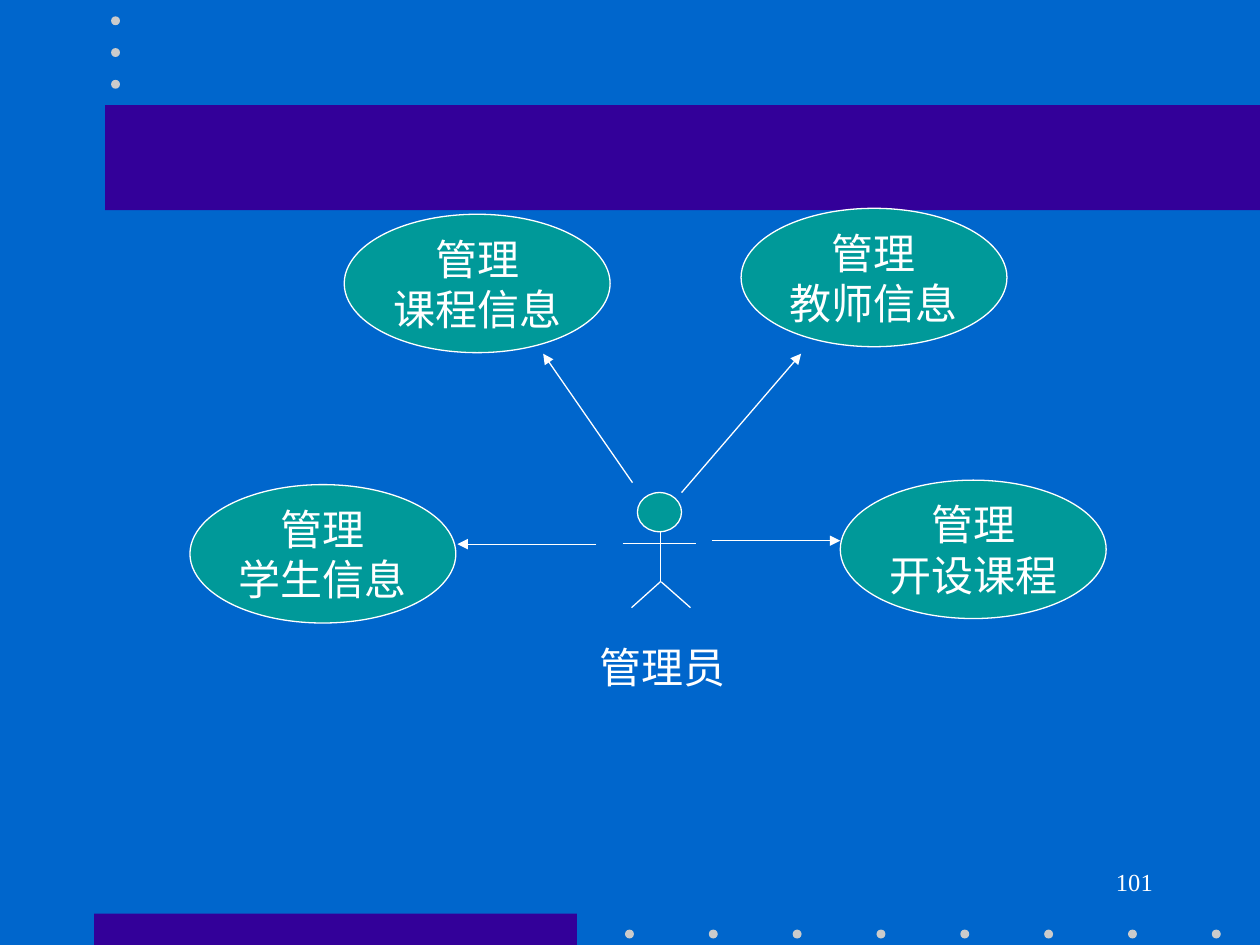
from lxml import etree
from pptx import Presentation
from pptx import util as u
from pptx.dml import color
from pptx.enum import shapes, text
from pptx.oxml import ns

BLUE, PURPLE, TEAL, GREY, WHITE = "0066CC", "330099", "009999", "CBCBCB", "FFFFFF"


def rgb(value):
    return color.RGBColor.from_string(value)


def write(shape, words, size=24, align=text.PP_ALIGN.CENTER,
          anchor=text.MSO_ANCHOR.MIDDLE, wrap=False):
    """Fill a shape with one paragraph per line of words."""
    frame = shape.text_frame
    frame.word_wrap = wrap
    frame.vertical_anchor = anchor
    for number, line in enumerate(words.split("\n")):
        para = frame.paragraphs[0] if number == 0 else frame.add_paragraph()
        para.alignment = align
        span = para.add_run()
        span.text = line
        span.font.name = "Times New Roman"
        span.font.size = u.Pt(size)
        span.font.color.rgb = rgb(WHITE)


class Diagram:
    font_colour = WHITE
    line_width = u.Pt(0.75)

    def __init__(self, page):
        self.page = page
        page.background.fill.solid()
        page.background.fill.fore_color.rgb = rgb(BLUE)

    def shape(self, kind, left, top, width, height, fill, outline=None):
        item = self.page.shapes.add_shape(
            kind, u.Cm(left), u.Cm(top), u.Cm(width), u.Cm(height))
        item.shadow.inherit = False
        item.fill.solid()
        item.fill.fore_color.rgb = rgb(fill)
        if outline:
            item.line.color.rgb = rgb(outline)
            item.line.width = self.line_width
        else:
            item.line.fill.background()
        return item

    def bar(self, left, top, width, height):
        return self.shape(shapes.MSO_SHAPE.RECTANGLE, left, top, width, height, PURPLE)

    def dot(self, left, top):
        return self.shape(shapes.MSO_SHAPE.OVAL, left, top, 0.18, 0.18, GREY)

    def oval(self, left, top, width, height):
        return self.shape(shapes.MSO_SHAPE.OVAL, left, top, width, height, TEAL, WHITE)

    def use_case(self, left, top, words):
        write(self.oval(left, top, 5.36, 2.79), words)

    def label(self, left, top, width, height, words, **style):
        box = self.page.shapes.add_textbox(
            u.Cm(left), u.Cm(top), u.Cm(width), u.Cm(height))
        write(box, words, **style)

    def line(self, x1, y1, x2, y2, arrow=False):
        link = self.page.shapes.add_connector(
            shapes.MSO_CONNECTOR.STRAIGHT, u.Cm(x1), u.Cm(y1), u.Cm(x2), u.Cm(y2))
        link.line.color.rgb = rgb(WHITE)
        link.line.width = self.line_width
        if arrow:
            outline = link.line._get_or_add_ln()
            etree.SubElement(outline, ns.qn("a:tailEnd"), type="triangle")
        etree.SubElement(link._element.spPr, ns.qn("a:effectLst"))


def main():
    deck = Presentation()
    deck.slide_width, deck.slide_height = u.Cm(25.4), u.Cm(19.05)
    diagram = Diagram(deck.slides.add_slide(deck.slide_layouts[6]))

    # Bars and dots of the backdrop
    diagram.bar(1.9, 18.42, 9.73, 0.63)
    for step in range(8):
        diagram.dot(12.6 + 1.69 * step, 18.74)
    diagram.bar(2.12, 2.12, 23.28, 2.12)
    for step in range(3):
        diagram.dot(2.24, 0.33 + 0.64 * step)

    # Actor: head, body, legs, arms and name
    diagram.oval(12.85, 9.93, 0.89, 0.79)
    for ends in [(13.31, 10.7, 13.31, 11.73), (13.31, 11.73, 12.73, 12.25),
                 (13.33, 11.73, 13.92, 12.25), (12.55, 10.96, 14.03, 10.96)]:
        diagram.line(*ends)
    diagram.label(11.35, 13.13, 4.01, 0.64, "管理员")

    # Use cases
    for left, top, topic in [(14.94, 4.2, "教师信息"), (6.94, 4.32, "课程信息"),
                             (16.94, 9.68, "开设课程"), (3.83, 9.77, "学生信息")]:
        diagram.use_case(left, top, "管理\n" + topic)

    # Arrows from the actor to the use cases
    for ends in [(12.75, 9.73, 10.95, 7.13), (13.74, 9.93, 16.15, 7.13),
                 (14.35, 10.9, 16.94, 10.9), (12.02, 10.97, 9.22, 10.97)]:
        diagram.line(*ends, arrow=True)

    # Page number
    diagram.label(18.21, 17.35, 5.28, 1.27, "101", size=14,
                  align=text.PP_ALIGN.RIGHT, anchor=text.MSO_ANCHOR.TOP, wrap=True)

    deck.save("out.pptx")


if __name__ == "__main__":
    main()
